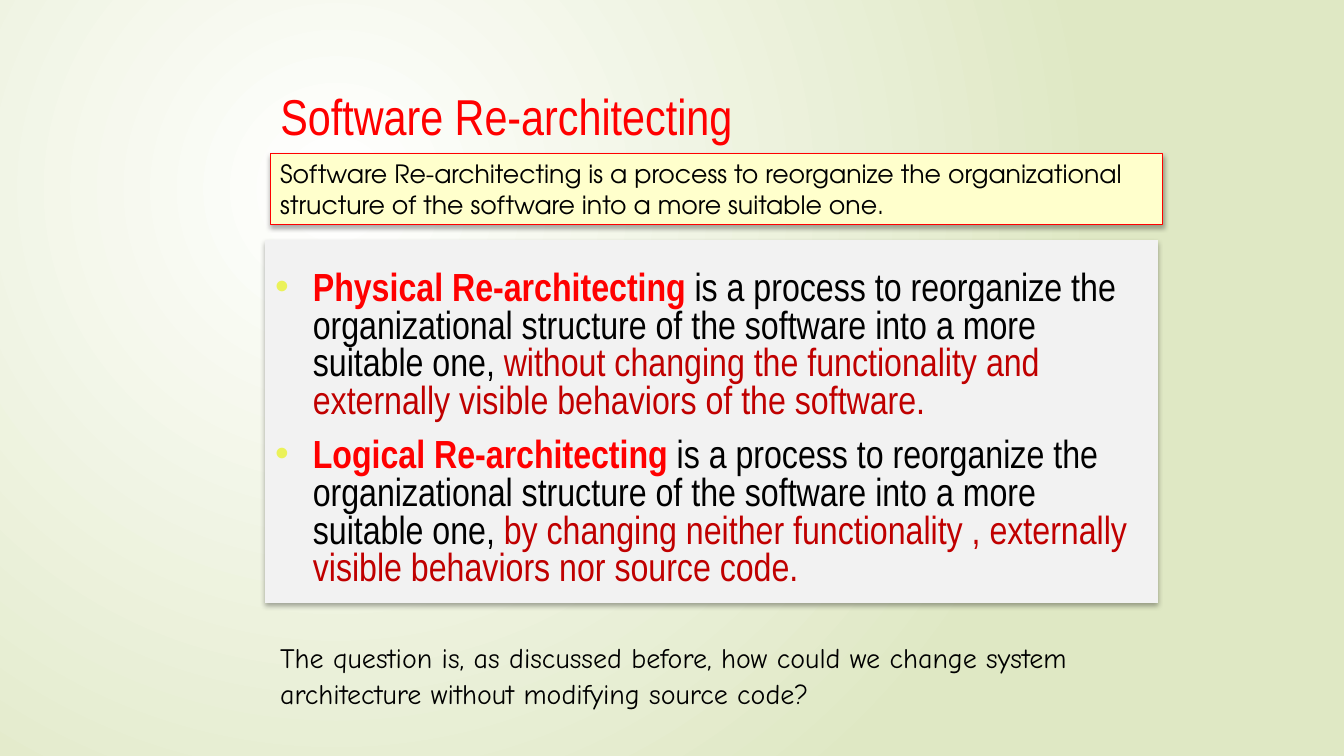
from dataclasses import dataclass

from pptx import Presentation
from pptx.dml.color import RGBColor
from pptx.enum.shapes import MSO_SHAPE
from pptx.enum.text import MSO_ANCHOR, MSO_AUTO_SIZE, PP_ALIGN
from pptx.oxml import parse_xml
from pptx.oxml.ns import nsdecls
from pptx.util import Cm, Pt


@dataclass(frozen=True)
class Theme:
    heading_font: str = "Arial Narrow"
    definition_font: str = "TeX Gyre Adventor"
    question_font: str = "Comic Neue"
    title_size: int = 36
    body_size: int = 28
    question_size: int = 20
    definition_size: int = 18
    black: str = "000000"
    red: str = "FF0000"
    dark_red: str = "C00000"
    bullet: str = "EBF25A"
    panel: str = "F2F2F2"
    note: str = "FFFFCC"
    back_inner: str = "FFFFFF"
    back_outer: str = "DFE8C4"


THEME = Theme()
PROCESS = ("is a process to reorganize the organizational structure "
           "of the software into a more suitable one")
KINDS = [
    ("Physical Re-architecting ",
     "without changing the functionality and externally visible behaviors of the software."),
    ("Logical Re-architecting ",
     "by changing neither functionality , externally visible behaviors nor source code."),
]


def place(shape, box):
    shape.left, shape.top, shape.width, shape.height = (Cm(length) for length in box)


def prepare_frame(shape, anchor):
    frame = shape.text_frame
    frame.word_wrap = True
    frame.auto_size = MSO_AUTO_SIZE.NONE
    frame.vertical_anchor = anchor
    frame.paragraphs[0].alignment = PP_ALIGN.LEFT
    return frame


def add_run(paragraph, text, font, size, color, bold=False):
    run = paragraph.add_run()
    run.text = text
    run.font.name = font
    run.font.size = Pt(size)
    run.font.bold = bold
    run.font.color.rgb = RGBColor.from_string(color)


def fill_solid(shape, color):
    shape.fill.solid()
    shape.fill.fore_color.rgb = RGBColor.from_string(color)


def add_shadow(shape):
    shape._element.spPr.append(parse_xml(
        f'<a:effectLst {nsdecls("a")}><a:outerShdw blurRad="{Pt(3.5)}" dist="{Pt(2.2)}" '
        f'dir="5400000" algn="t" rotWithShape="0"><a:srgbClr val="{THEME.black}">'
        '<a:alpha val="32000"/></a:srgbClr></a:outerShdw></a:effectLst>'))


def add_bullet(paragraph, indent):
    properties = paragraph._p.get_or_add_pPr()
    properties.set("marL", str(indent))
    properties.set("indent", str(-indent))
    for element in (f'<a:buClr {nsdecls("a")}><a:srgbClr val="{THEME.bullet}"/></a:buClr>',
                    f'<a:buFont {nsdecls("a")} typeface="Arial"/>',
                    f'<a:buChar {nsdecls("a")} char="•"/>'):
        properties.append(parse_xml(element))


def paint_background(slide):
    stops = "".join(f'<a:gs pos="{position}"><a:srgbClr val="{color}"/></a:gs>'
                    for position, color in ((0, THEME.back_inner), (100000, THEME.back_outer)))
    slide._element.cSld.insert(0, parse_xml(
        f'<p:bg {nsdecls("p", "a")}><p:bgPr><a:gradFill rotWithShape="1">'
        f'<a:gsLst>{stops}</a:gsLst><a:path path="circle">'
        '<a:fillToRect l="50000" t="50000" r="100000" b="100000"/></a:path>'
        '</a:gradFill><a:effectLst/></p:bgPr></p:bg>'))


def write_title(slide, box):
    title = slide.shapes.title
    place(title, box)
    frame = prepare_frame(title, MSO_ANCHOR.MIDDLE)
    add_run(frame.paragraphs[0], "Software Re-architecting",
            THEME.heading_font, THEME.title_size, THEME.red)


def write_kinds(slide, box):
    body = slide.placeholders[1]
    place(body, box)
    fill_solid(body, THEME.panel)
    add_shadow(body)
    frame = prepare_frame(body, MSO_ANCHOR.TOP)
    frame.margin_top = Cm(0.79)
    for index, (name, condition) in enumerate(KINDS):
        paragraph = frame.add_paragraph() if index else frame.paragraphs[0]
        paragraph.alignment = PP_ALIGN.LEFT
        paragraph.line_spacing = 0.8
        paragraph.space_before = Pt(12 if index else 0)
        add_bullet(paragraph, Cm(0.95))
        for text, color, bold in ((name, THEME.red, True),
                                  (f"{PROCESS}, ", THEME.black, False),
                                  (condition, THEME.dark_red, False)):
            add_run(paragraph, text, THEME.heading_font, THEME.body_size, color, bold)


def add_definition(slide, box):
    note = slide.shapes.add_shape(MSO_SHAPE.RECTANGLE, *(Cm(length) for length in box))
    fill_solid(note, THEME.note)
    note.line.color.rgb = RGBColor.from_string(THEME.red)
    note.line.width = Pt(0.75)
    add_shadow(note)
    frame = prepare_frame(note, MSO_ANCHOR.MIDDLE)
    add_run(frame.paragraphs[0], f"Software Re-architecting {PROCESS}.",
            THEME.definition_font, THEME.definition_size, THEME.black)


def add_question(slide, box):
    question = slide.shapes.add_textbox(*(Cm(length) for length in box))
    paragraph = prepare_frame(question, MSO_ANCHOR.TOP).paragraphs[0]
    paragraph.line_spacing = 1.07
    add_run(paragraph, "The question is, as discussed before, how could we change system "
            "architecture without modifying source code?",
            THEME.question_font, THEME.question_size, THEME.black)


def main():
    presentation = Presentation()
    presentation.slide_width, presentation.slide_height = Cm(33.87), Cm(19.05)
    slide = presentation.slides.add_slide(presentation.slide_layouts[1])
    left, panel_width = 6.81, 22.5

    # Backdrop and heading
    paint_background(slide)
    write_title(slide, (left, 1.93, 24.77, 1.93))

    # Definition above the two kinds
    write_kinds(slide, (6.68, 6.05, panel_width, 9.14))
    add_definition(slide, (left, 3.86, panel_width, 1.8))

    # Closing question
    add_question(slide, (left, 15.95, 21.72, 2.08))
    presentation.save("out.pptx")


if __name__ == "__main__":
    main()
